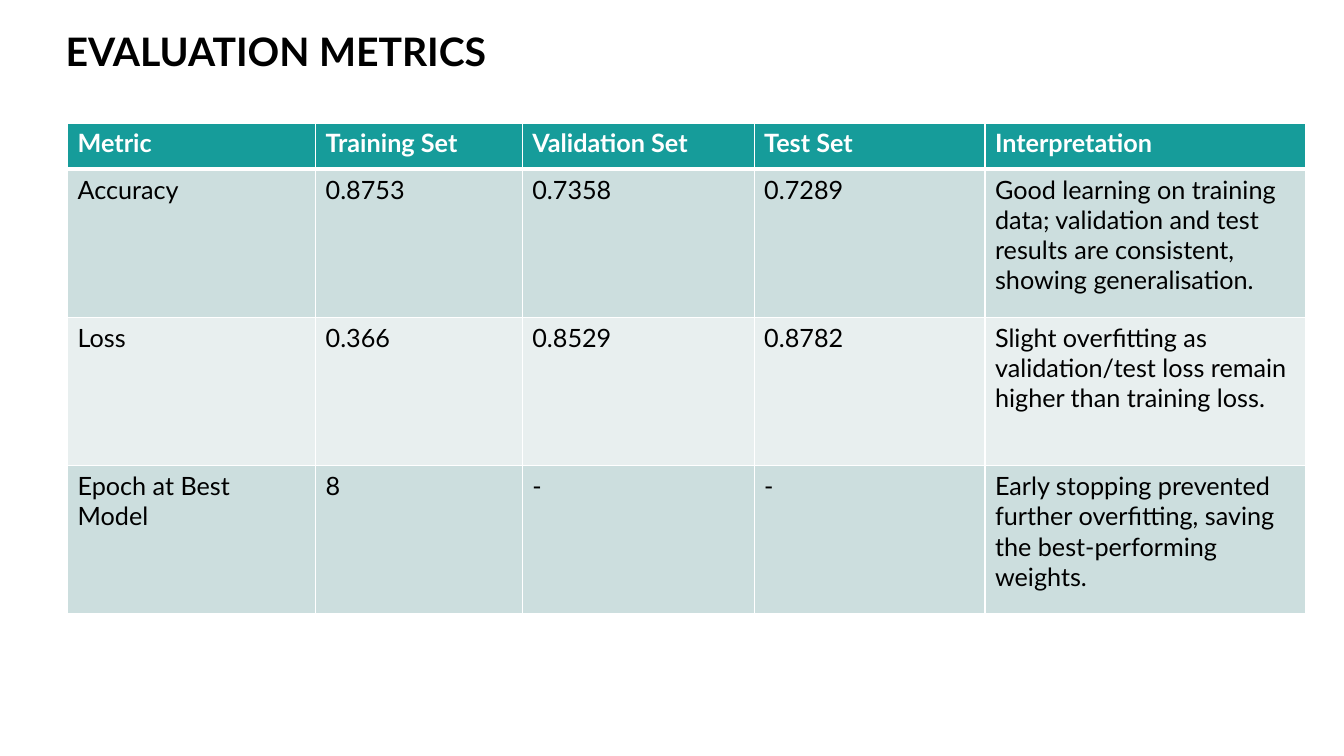
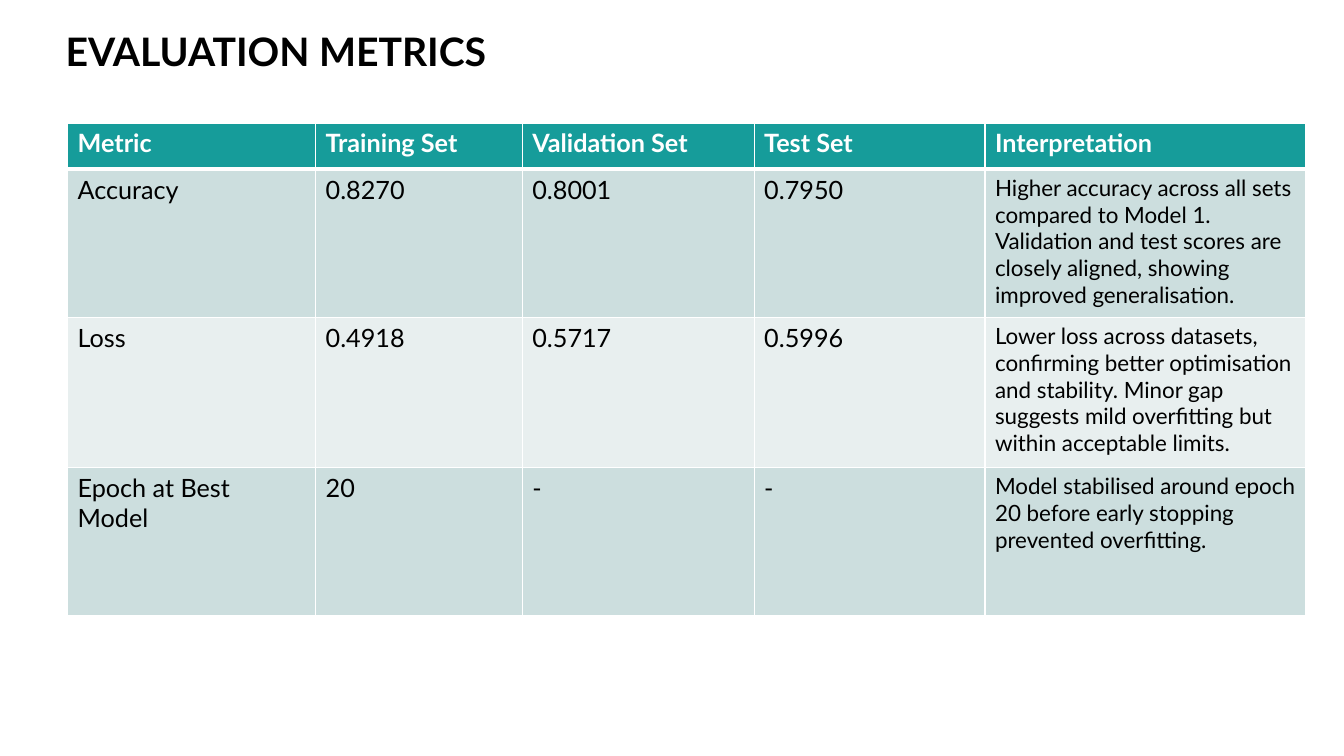
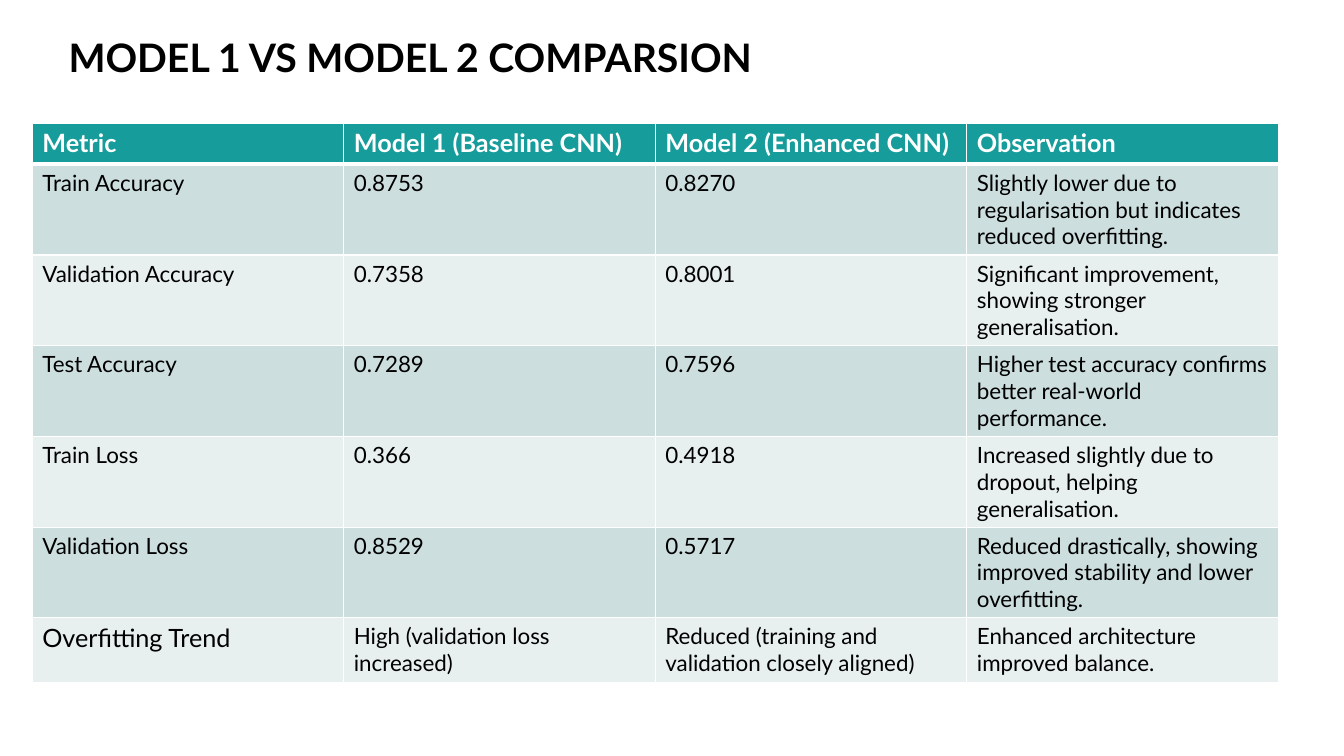
import dataclasses

import lxml.etree
import pptx
import pptx.dml.color
import pptx.enum.text
import pptx.oxml.ns
import pptx.util


@dataclasses.dataclass(frozen=True)
class Theme:
    """Colours, type sizes and rule widths shared by all slides."""

    font: str = "Lato"
    ink: str = "000000"
    paper: str = "FFFFFF"
    header: str = "169C9A"
    bands: tuple = ("CCDEDE", "E8EFEF")
    title_size: int = 28
    text_size: int = 18
    small_size: int = 16
    thin_rule: int = 1
    header_rule: int = 3


@dataclasses.dataclass(frozen=True)
class Box:
    """A region of a slide, in inches."""

    left: float
    top: float
    width: float
    height: float

    def lengths(self):
        """Return the position and size as slide lengths."""
        return [pptx.util.Inches(value) for value in dataclasses.astuple(self)]


THEME = Theme()
METRICS_TITLE = Box(0.55, 0.27, 11.65, 1.24)
METRICS_TABLE = Box(0.67, 1.22, 12.28, 4.87)
METRICS_COLUMNS = (2.46, 2.05, 2.3, 2.29, 3.18)
METRICS_HEADER = ("Metric", "Training Set", "Validation Set", "Test Set", "Interpretation")
COMPARISON_TITLE = Box(0.58, 0.33, 11.65, 1.24)
COMPARISON_TABLE = Box(0.32, 1.22, 12.36, 5.55)

BASELINE_ROWS = (
    METRICS_HEADER,
    ("Accuracy", "0.8753", "0.7358", "0.7289",
     "Good learning on training data; validation and test results are consistent, showing generalisation."),
    ("Loss", "0.366", "0.8529", "0.8782",
     "Slight overfitting as validation/test loss remain higher than training loss."),
    ("Epoch at Best Model", "8", "-", "-",
     "Early stopping prevented further overfitting, saving the best-performing weights."),
)
ENHANCED_ROWS = (
    METRICS_HEADER,
    ("Accuracy", "0.8270", "0.8001", "0.7950",
     "Higher accuracy across all sets compared to Model 1. Validation and test scores are closely aligned, "
     "showing improved generalisation."),
    ("Loss", "0.4918", "0.5717", "0.5996",
     "Lower loss across datasets, confirming better optimisation and stability. Minor gap suggests mild "
     "overfitting but within acceptable limits."),
    ("Epoch at Best Model", "20", "-", "-",
     "Model stabilised around epoch 20 before early stopping prevented overfitting."),
)
COMPARISON_ROWS = (
    ("Metric", "Model 1 (Baseline CNN)", "Model 2 (Enhanced CNN)", "Observation"),
    ("Train Accuracy", "0.8753", "0.8270",
     "Slightly lower due to regularisation but indicates reduced overfitting."),
    ("Validation Accuracy", "0.7358", "0.8001",
     "Significant improvement, showing stronger generalisation."),
    ("Test Accuracy", "0.7289", "0.7596",
     "Higher test accuracy confirms better real-world performance."),
    ("Train Loss", "0.366", "0.4918",
     "Increased slightly due to dropout, helping generalisation."),
    ("Validation Loss", "0.8529", "0.5717",
     "Reduced drastically, showing improved stability and lower overfitting."),
    ("Overfitting Trend", "High (validation loss increased)",
     "Reduced (training and validation closely aligned)", "Enhanced architecture improved balance."),
)


def apply_format(target, formats):
    """Set each named attribute of the target."""
    for attribute, value in formats.items():
        setattr(target, attribute, value)


def write_text(frame, text, size, colour, bold):
    """Write one formatted paragraph and return it."""
    paragraph = frame.paragraphs[0]
    run = paragraph.add_run()
    run.text = text
    apply_format(run.font, {"name": THEME.font, "size": pptx.util.Pt(size), "bold": bold})
    run.font.color.rgb = pptx.dml.color.RGBColor.from_string(colour)
    return paragraph


def add_title(slide, box, text):
    """Place the slide heading in the title placeholder."""
    heading = slide.shapes.title
    apply_format(heading, dict(zip(("left", "top", "width", "height"), box.lengths())))
    apply_format(heading.text_frame, {
        "word_wrap": True,
        "auto_size": pptx.enum.text.MSO_AUTO_SIZE.NONE,
        "vertical_anchor": pptx.enum.text.MSO_ANCHOR.TOP,
    })
    paragraph = write_text(heading.text_frame, text, THEME.title_size, THEME.ink, True)
    apply_format(paragraph, {"alignment": pptx.enum.text.PP_ALIGN.LEFT, "line_spacing": 0.9})


def rule_cell(cell, row):
    """Draw the cell borders, heavier between header and body."""
    widths = dict.fromkeys(("a:lnL", "a:lnR", "a:lnT", "a:lnB"), THEME.thin_rule)
    if row < 2:
        widths["a:lnT" if row else "a:lnB"] = THEME.header_rule
    properties = cell._tc.get_or_add_tcPr()
    qn = pptx.oxml.ns.qn
    for side, width in widths.items():
        line = lxml.etree.SubElement(properties, qn(side), w=str(pptx.util.Pt(width)))
        fill = lxml.etree.SubElement(line, qn("a:solidFill"))
        lxml.etree.SubElement(fill, qn("a:srgbClr"), val=THEME.paper)


def add_results_table(slide, box, rows, column_widths, row_heights, sizes):
    """Place a banded table whose body type sizes follow sizes(row, column)."""
    table = slide.shapes.add_table(len(rows), len(column_widths), *box.lengths()).table
    for column, width in zip(table.columns, column_widths):
        column.width = pptx.util.Inches(width)
    for table_row, height in zip(table.rows, row_heights):
        table_row.height = pptx.util.Inches(height)
    for row, texts in enumerate(rows):
        is_header = row == 0
        band = THEME.header if is_header else THEME.bands[(row - 1) % 2]
        colour = THEME.paper if is_header else THEME.ink
        for column, text in enumerate(texts):
            cell = table.cell(row, column)
            rule_cell(cell, row)
            cell.fill.solid()
            cell.fill.fore_color.rgb = pptx.dml.color.RGBColor.from_string(band)
            size = THEME.text_size if is_header else sizes(row, column)
            write_text(cell.text_frame, text, size, colour, is_header)


def add_slide(deck):
    """Add a title-only slide."""
    return deck.slides.add_slide(deck.slide_layouts[5])


def add_metrics_slide(deck, rows, row_heights, remark_size):
    """Add the evaluation metrics of one model."""
    slide = add_slide(deck)
    add_title(slide, METRICS_TITLE, "EVALUATION METRICS")
    remark_column = len(METRICS_HEADER) - 1
    add_results_table(
        slide, METRICS_TABLE, rows, METRICS_COLUMNS, row_heights,
        lambda row, column: remark_size if column == remark_column else THEME.text_size)


def add_comparison_slide(deck):
    """Add the side-by-side results of both models."""
    slide = add_slide(deck)
    add_title(slide, COMPARISON_TITLE, "MODEL 1 VS MODEL 2 COMPARSION")
    column_count = len(COMPARISON_ROWS[0])
    trend_cell = (len(COMPARISON_ROWS) - 1, 0)
    add_results_table(
        slide, COMPARISON_TABLE, COMPARISON_ROWS,
        [COMPARISON_TABLE.width / column_count] * column_count,
        [0.41] + [0.9] * 5 + [0.64],
        lambda row, column: THEME.text_size if (row, column) == trend_cell else THEME.small_size)


def main():
    """Build and save the deck."""
    deck = pptx.Presentation()
    apply_format(deck, {
        "slide_width": pptx.util.Inches(13.33),
        "slide_height": pptx.util.Inches(7.5),
    })
    add_metrics_slide(deck, BASELINE_ROWS, (0.46, 1.47, 1.47, 1.47), THEME.text_size)
    add_metrics_slide(deck, ENHANCED_ROWS, (0.46, 1.47, 1.49, 1.47), THEME.small_size)
    add_comparison_slide(deck)
    deck.save("out.pptx")


if __name__ == "__main__":
    main()
